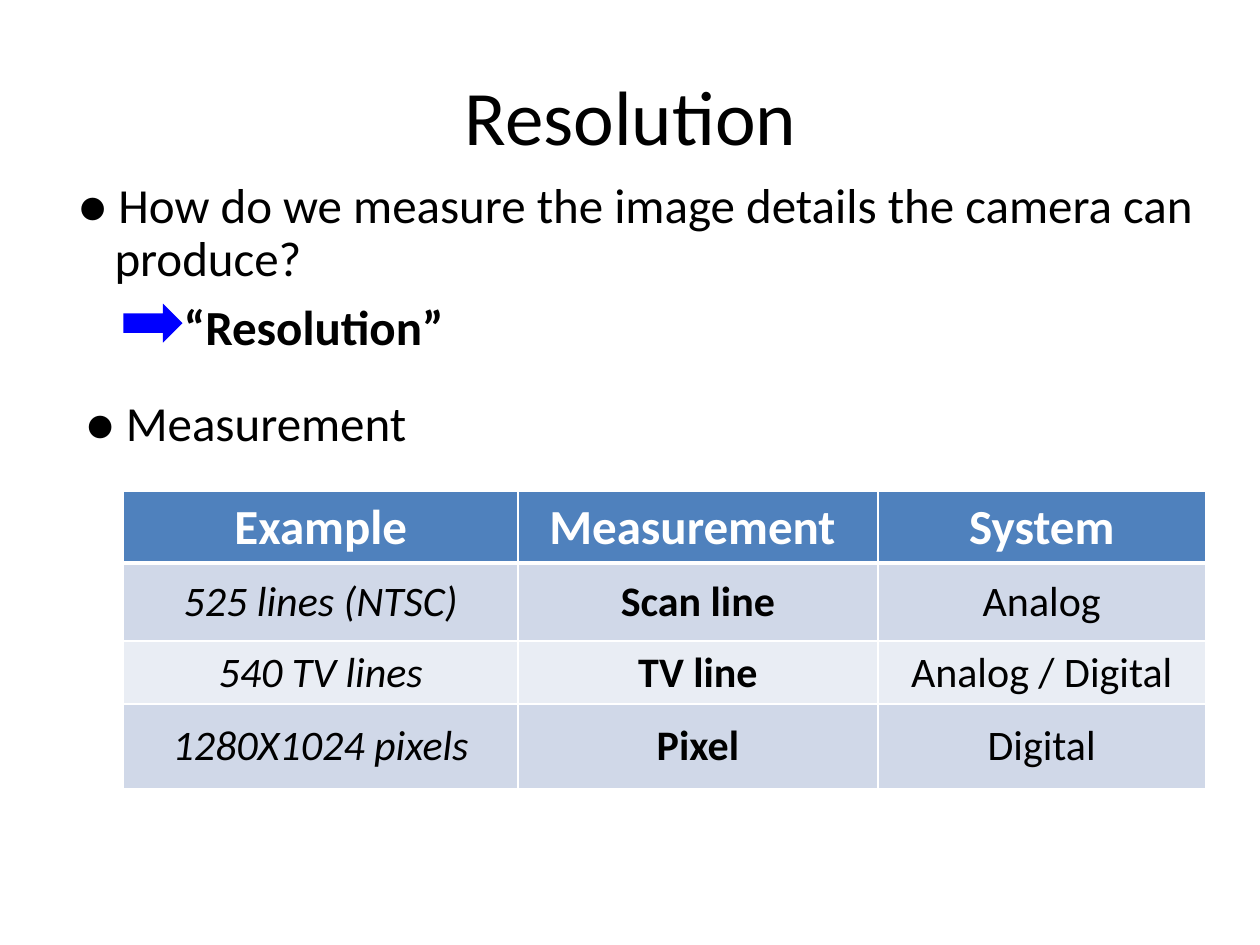
from dataclasses import dataclass

from lxml.etree import SubElement
from pptx import Presentation
from pptx.dml.color import RGBColor
from pptx.enum.shapes import MSO_SHAPE
from pptx.enum.text import MSO_ANCHOR, PP_ALIGN
from pptx.oxml.ns import qn
from pptx.util import Cm, Pt


@dataclass(frozen=True)
class Theme:
    font: str = "Calibri"
    ink: str = "000000"
    paper: str = "FFFFFF"
    arrow: str = "0000FF"
    header: str = "4F81BD"
    bands: tuple = ("D0D8E8", "E9EDF4")
    title_size: int = 44
    body_size: int = 28
    cell_size: int = 24
    title_leading: int = 40
    body_leading: int = 30
    rule: int = 1
    header_rule: int = 3


class SlideBuilder:
    """Draw styled elements on the current slide."""

    def __init__(self, slide, theme):
        self.slide = slide
        self.theme = theme

    def add_text(self, paragraph, text, size, color=None, bold=False, italic=False):
        run = paragraph.add_run()
        run.text = text
        run.font.name = self.theme.font
        run.font.size = Pt(size)
        run.font.bold = bold
        run.font.italic = italic
        run.font.color.rgb = RGBColor.from_string(color or self.theme.ink)

    def place(self, shape, left, top, width, height):
        shape.left, shape.top = Cm(left), Cm(top)
        shape.width, shape.height = Cm(width), Cm(height)

    def title(self, text, *box):
        heading = self.slide.shapes.title
        self.place(heading, *box)
        heading.text_frame.vertical_anchor = MSO_ANCHOR.MIDDLE
        paragraph = heading.text_frame.paragraphs[0]
        paragraph.alignment = PP_ALIGN.CENTER
        paragraph.line_spacing = Pt(self.theme.title_leading)
        self.add_text(paragraph, text, self.theme.title_size)

    def statement(self, shapes, text, box, hanging=0.0, bold=False):
        frame = shapes.add_textbox(*map(Cm, box)).text_frame
        frame.word_wrap = True
        paragraph = frame.paragraphs[0]
        properties = paragraph._p.get_or_add_pPr()
        properties.set("marL", str(Cm(0.97)))
        properties.set("indent", str(-Cm(hanging)))
        paragraph.line_spacing = Pt(self.theme.body_leading)
        self.add_text(paragraph, text, self.theme.body_size, bold=bold)

    def arrow(self, shapes, *box):
        pointer = shapes.add_shape(MSO_SHAPE.RIGHT_ARROW, *map(Cm, box))
        pointer.shadow.inherit = False
        pointer.fill.solid()
        pointer.fill.fore_color.rgb = RGBColor.from_string(self.theme.arrow)
        pointer.line.fill.background()

    def borders(self, cell, bottom, top):
        properties = cell._tc.get_or_add_tcPr()
        rule = self.theme.rule
        for side, width in (("L", rule), ("R", rule), ("T", top), ("B", bottom)):
            line = SubElement(properties, qn(f"a:ln{side}"), w=str(Pt(width)))
            fill = SubElement(line, qn("a:solidFill"))
            SubElement(fill, qn("a:srgbClr"), val=self.theme.paper)

    def table(self, rows, left, top, widths, heights):
        theme = self.theme
        grid = self.slide.shapes.add_table(
            len(rows), len(widths), Cm(left), Cm(top), Cm(sum(widths)), Cm(sum(heights))
        ).table
        for column, width in zip(grid.columns, widths):
            column.width = Cm(width)
        for r, (texts, height) in enumerate(zip(rows, heights)):
            grid.rows[r].height = Cm(height)
            is_header = r == 0
            background = theme.header if is_header else theme.bands[(r - 1) % 2]
            for c, text in enumerate(texts):
                cell = grid.cell(r, c)
                self.borders(
                    cell,
                    bottom=theme.header_rule if is_header else theme.rule,
                    top=theme.header_rule if r == 1 else theme.rule,
                )
                cell.fill.solid()
                cell.fill.fore_color.rgb = RGBColor.from_string(background)
                cell.vertical_anchor = MSO_ANCHOR.MIDDLE
                paragraph = cell.text_frame.paragraphs[0]
                paragraph.alignment = PP_ALIGN.CENTER
                self.add_text(
                    paragraph,
                    text,
                    theme.body_size if is_header else theme.cell_size,
                    theme.paper if is_header else theme.ink,
                    bold=is_header or c == 1,
                    italic=not is_header and c == 0,
                )


def main():
    presentation = Presentation()
    presentation.slide_width, presentation.slide_height = Cm(25.4), Cm(19.05)
    slide = presentation.slides.add_slide(presentation.slide_layouts[5])
    builder = SlideBuilder(slide, Theme())

    builder.title("Resolution", 0.51, 0.94, 24.41, 3.18)
    builder.statement(
        slide.shapes, "● Measurement", (1.24, 7.92, 7.85, 2.59), hanging=0.74
    )

    question = slide.shapes.add_group_shape().shapes
    builder.statement(
        question,
        "● How do we measure the image details the camera can produce?",
        (1.09, 3.53, 24.16, 2.59),
        hanging=0.74,
    )
    builder.statement(question, "“Resolution”", (2.49, 5.99, 7.19, 1.93), bold=True)
    builder.arrow(question, 2.49, 6.12, 1.19, 0.79)

    measurements = [
        ("Example", "Measurement ", "System"),
        ("525 lines (NTSC)", "Scan line", "Analog"),
        ("540 TV lines", "TV line", "Analog / Digital"),
        ("1280X1024 pixels", "Pixel", "Digital"),
    ]
    builder.table(
        measurements, 2.49, 9.91, (7.95, 7.26, 6.6), (1.32, 1.57, 1.14, 1.7)
    )
    presentation.save("out.pptx")


if __name__ == "__main__":
    main()
